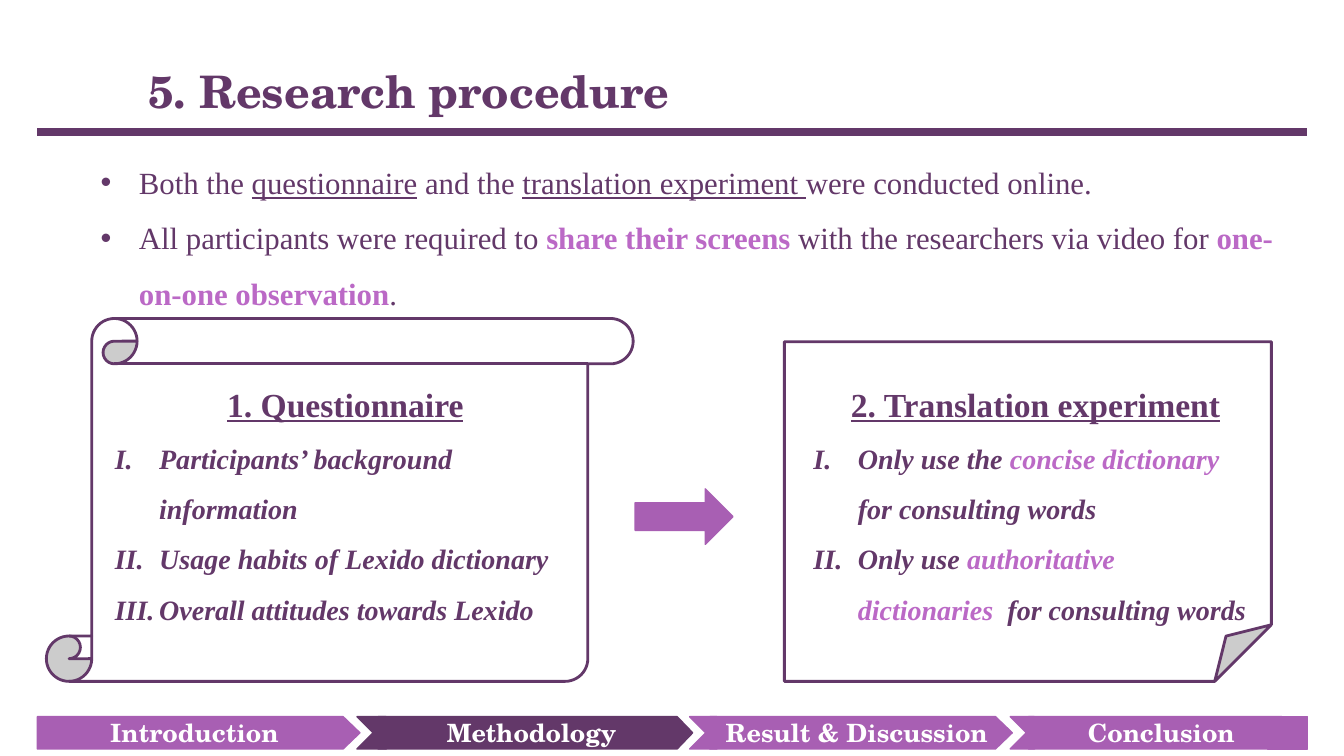
from dataclasses import dataclass

from lxml.etree import SubElement
from pptx import Presentation
from pptx.dml.color import RGBColor
from pptx.enum.shapes import MSO_CONNECTOR, MSO_SHAPE
from pptx.enum.text import MSO_ANCHOR, MSO_AUTO_SIZE, PP_ALIGN
from pptx.oxml.ns import qn
from pptx.util import Inches, Pt


@dataclass(frozen=True)
class Theme:
    plum: str = "633869"
    violet: str = "A85FB3"
    orchid: str = "BB69C6"
    white: str = "FFFFFF"
    heading_font: str = "TeX Gyre Schola"
    body_font: str = "Times New Roman"
    title_size: int = 32
    card_title_size: int = 24
    body_size: int = 22
    list_size: int = 20
    tab_size: int = 18


THEME = Theme()
HEADING = dict(name=THEME.heading_font, bold=True, color=THEME.plum)
BODY = dict(name=THEME.body_font, size=THEME.body_size, color=THEME.plum)
CARD_TITLE = BODY | dict(size=THEME.card_title_size, bold=True, underline=True)
CARD_ITEM = BODY | dict(size=THEME.list_size, bold=True, italic=True)
LINKED = dict(underline=True)
ACCENT = dict(color=THEME.orchid, bold=True)
DOT = ("buChar", {"char": "•"})
ROMAN = ("buAutoNum", {"type": "romanUcPeriod"})

INTRO_POINTS = [
    [("Both the ", {}), ("questionnaire", LINKED), (" and the ", {}),
     ("translation experiment ", LINKED), ("were conducted online.", {})],
    [("All participants were required to ", {}), ("share their screens ", ACCENT),
     ("with the researchers via video for ", {}),
     ("one-on-one observation", ACCENT), (".", {})],
]
QUESTIONNAIRE_ITEMS = [
    [("Participants’ background information", {})],
    [("Usage habits of Lexido dictionary", {})],
    [("Overall attitudes towards Lexido", {})],
]
EXPERIMENT_ITEMS = [
    [("Only use the ", {}), ("concise dictionary ", ACCENT),
     ("for consulting words", {})],
    [("Only use ", {}), ("authoritative dictionaries ", ACCENT),
     (" for consulting words", {})],
]
# label, chevron left and width, tab left and width, point depth, fill
TABS = [
    ("Introduction", None, (0.37, 3.2), 0.52, THEME.violet),
    ("Methodology", (3.54, 0.45), (3.75, 3.12), 0.48, THEME.plum),
    ("Result & Discussion", (6.84, 0.43), (7.04, 3), 0.52, THEME.violet),
    ("Conclusion", (10.02, 0.4), (10.2, 2.76), 0.77, THEME.violet),
]


def add_spans(para, spans, base):
    for text, changes in spans:
        span = para.add_run()
        span.text = text
        for key, value in (base | changes).items():
            if key == "color":
                span.font.color.rgb = RGBColor.from_string(value)
            else:
                setattr(span.font, key, Pt(value) if key == "size" else value)


def set_bullet(para, bullet, indent):
    tag, attributes = bullet
    properties = para._p.get_or_add_pPr()
    properties.set("marL", str(Inches(indent)))
    properties.set("indent", str(-Inches(indent)))
    SubElement(properties, qn("a:buFont"), typeface=(
        "Arial" if tag == "buChar" else "+mj-lt"))
    SubElement(properties, qn(f"a:{tag}"), attributes)


def add_text_box(page, box):
    frame = page.shapes.add_textbox(*map(Inches, box)).text_frame
    frame.word_wrap = True
    frame.auto_size = MSO_AUTO_SIZE.SHAPE_TO_FIT_TEXT
    return frame


def fill_list(frame, items, base, bullet, indent, heading=None):
    """Write an optional centred heading, then one bulleted paragraph per item."""
    paras = [frame.paragraphs[0]]
    if heading:
        add_spans(paras[0], [(heading, {})], CARD_TITLE)
        paras[0].alignment = PP_ALIGN.CENTER
    for number, spans in enumerate(items):
        if number or heading:
            paras.append(frame.add_paragraph())
        set_bullet(paras[-1], bullet, indent)
        add_spans(paras[-1], spans, base)
    for para in paras:
        para.line_spacing = 1.5


def add_outline(page, kind, box, fill, line, width=1):
    shape = page.shapes.add_shape(kind, *map(Inches, box))
    shape.shadow.inherit = False
    shape.fill.solid()
    shape.fill.fore_color.rgb = RGBColor.from_string(fill)
    shape.line.color.rgb = RGBColor.from_string(line)
    shape.line.width = Pt(width)
    return shape


def add_header(page, box):
    """Place the title above a rule that runs along the bottom of the box."""
    left, top, width, height = box
    bottom = top + height
    rule = page.shapes.add_connector(
        MSO_CONNECTOR.STRAIGHT,
        *map(Inches, (left, bottom, left + width, bottom)))
    rule.line.color.rgb = RGBColor.from_string(THEME.plum)
    rule.line.width = Pt(6)
    SubElement(rule._element.spPr, qn("a:effectLst"))
    frame = add_text_box(page, (left + 1, top, 8.67, 0.64))
    add_spans(frame.paragraphs[0], [("5. Research procedure", {})],
              HEADING | dict(size=THEME.title_size))


def add_intro(page, box):
    fill_list(add_text_box(page, box), INTRO_POINTS, BODY, DOT, 0.38)


def add_card(page, box, kind, text_inset, heading, items):
    """Place a paper-like card with a text box inset by left, top, width, height."""
    left, top = box[:2]
    add_outline(page, kind, box, THEME.white, THEME.plum, 2)
    inset_left, inset_top, width, height = text_inset
    frame = add_text_box(page, (left + inset_left, top + inset_top, width, height))
    fill_list(frame, items, CARD_ITEM, ROMAN, 0.44, heading)


def add_progress_bar(page, box):
    left, top, width, height = box
    for label, chevron, (tab_left, tab_width), depth, fill in TABS:
        if chevron:
            add_outline(page, MSO_SHAPE.CHEVRON,
                        (chevron[0], top, chevron[1], height), fill, fill)
        tab = add_outline(page, MSO_SHAPE.PENTAGON,
                          (tab_left, top, tab_width, height), fill, fill)
        tab.adjustments[0] = depth
        frame = tab.text_frame
        frame.vertical_anchor = MSO_ANCHOR.MIDDLE
        frame.paragraphs[0].alignment = PP_ALIGN.CENTER
        add_spans(frame.paragraphs[0], [(label, {})],
                  HEADING | dict(size=THEME.tab_size, color=THEME.white))
    add_outline(page, MSO_SHAPE.RECTANGLE,
                (left + width - 0.4, top, 0.4, height), THEME.violet, THEME.violet)


def main():
    deck = Presentation()
    deck.slide_width, deck.slide_height = Inches(13.33), Inches(7.5)
    page = deck.slides.add_slide(deck.slide_layouts[6])
    add_header(page, (0.37, 0.58, 12.59, 0.73))
    add_progress_bar(page, (0.37, 7.11, 12.6, 0.32))
    add_card(page, (0.46, 3.16, 5.82, 3.6), MSO_SHAPE.VERTICAL_SCROLL,
             (0.58, 0.4, 4.77, 2.67), "1. Questionnaire", QUESTIONNAIRE_ITEMS)
    add_card(page, (7.78, 3.39, 4.83, 3.37), MSO_SHAPE.FOLDED_CORNER,
             (0.19, 0.17, 4.6, 2.67), "2. Translation experiment", EXPERIMENT_ITEMS)
    add_intro(page, (0.9, 1.39, 11.88, 1.7))
    add_outline(page, MSO_SHAPE.RIGHT_ARROW, (6.3, 4.85, 0.97, 0.55),
                THEME.violet, THEME.violet)
    deck.save("out.pptx")


if __name__ == "__main__":
    main()
